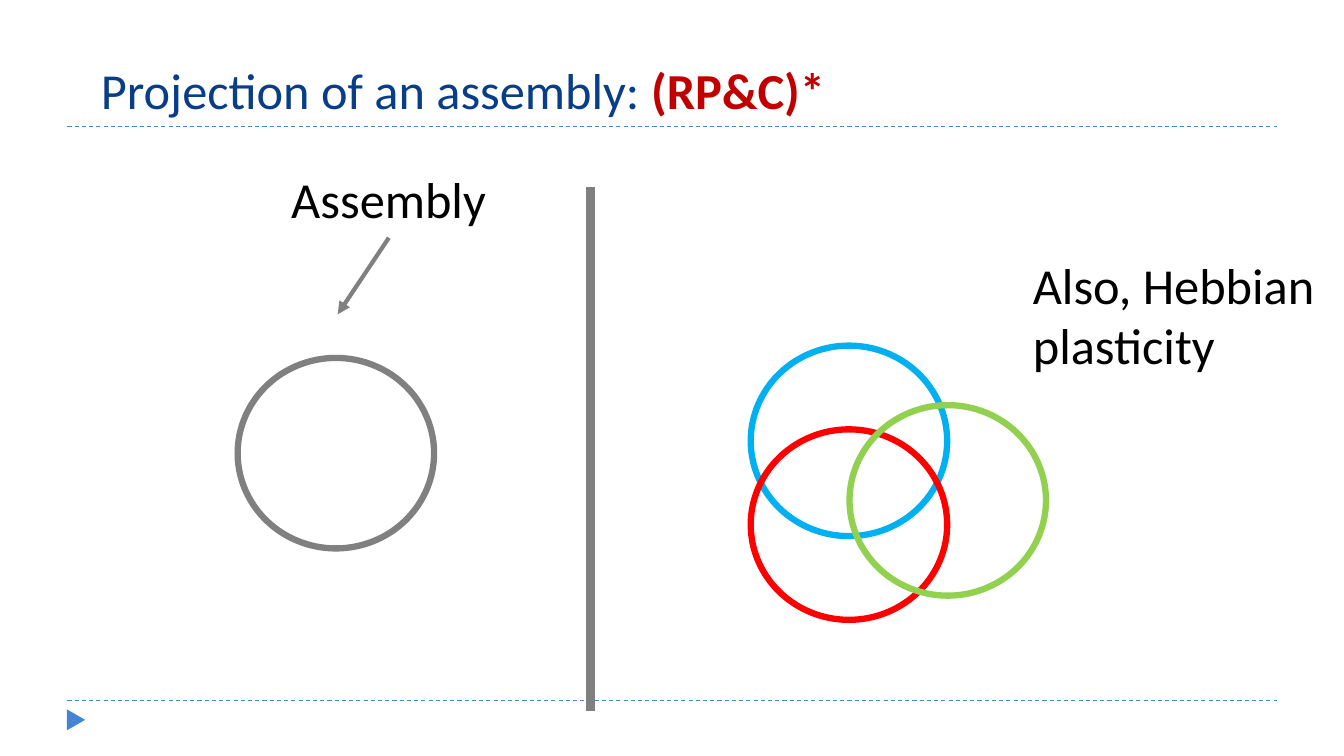
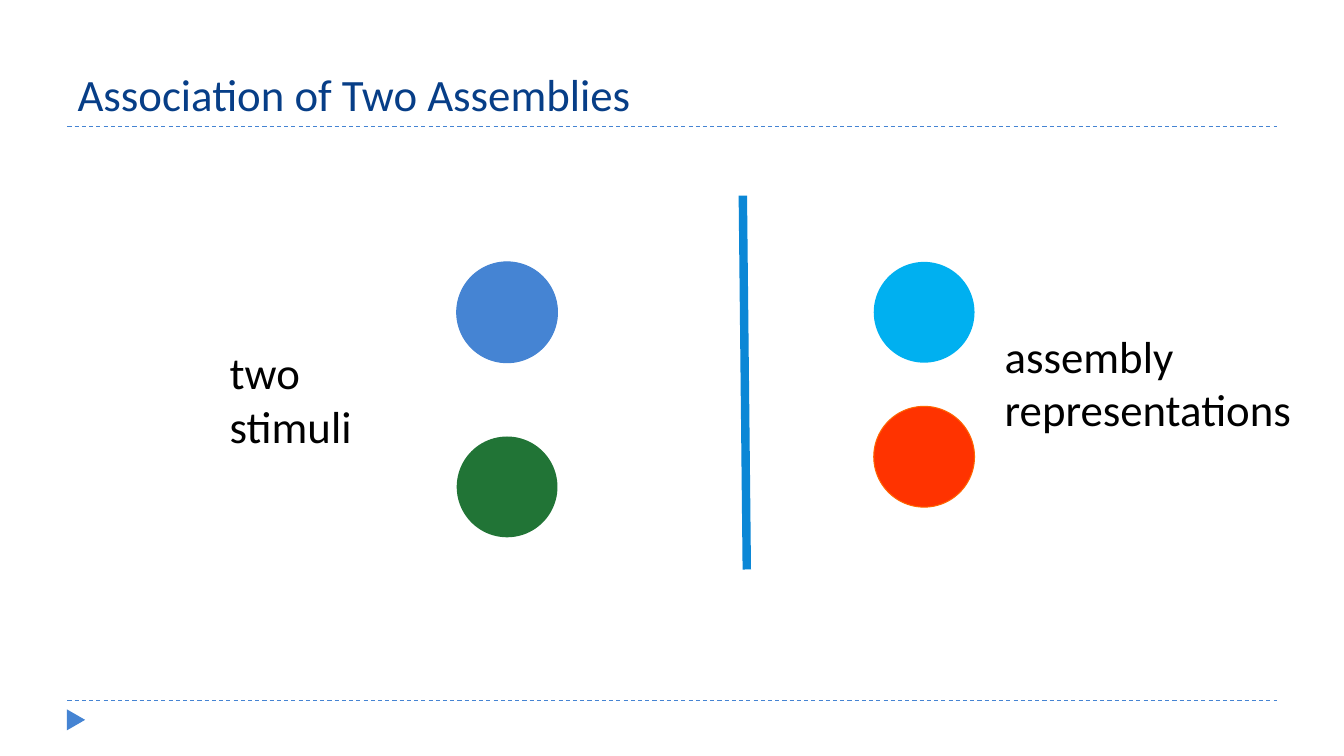
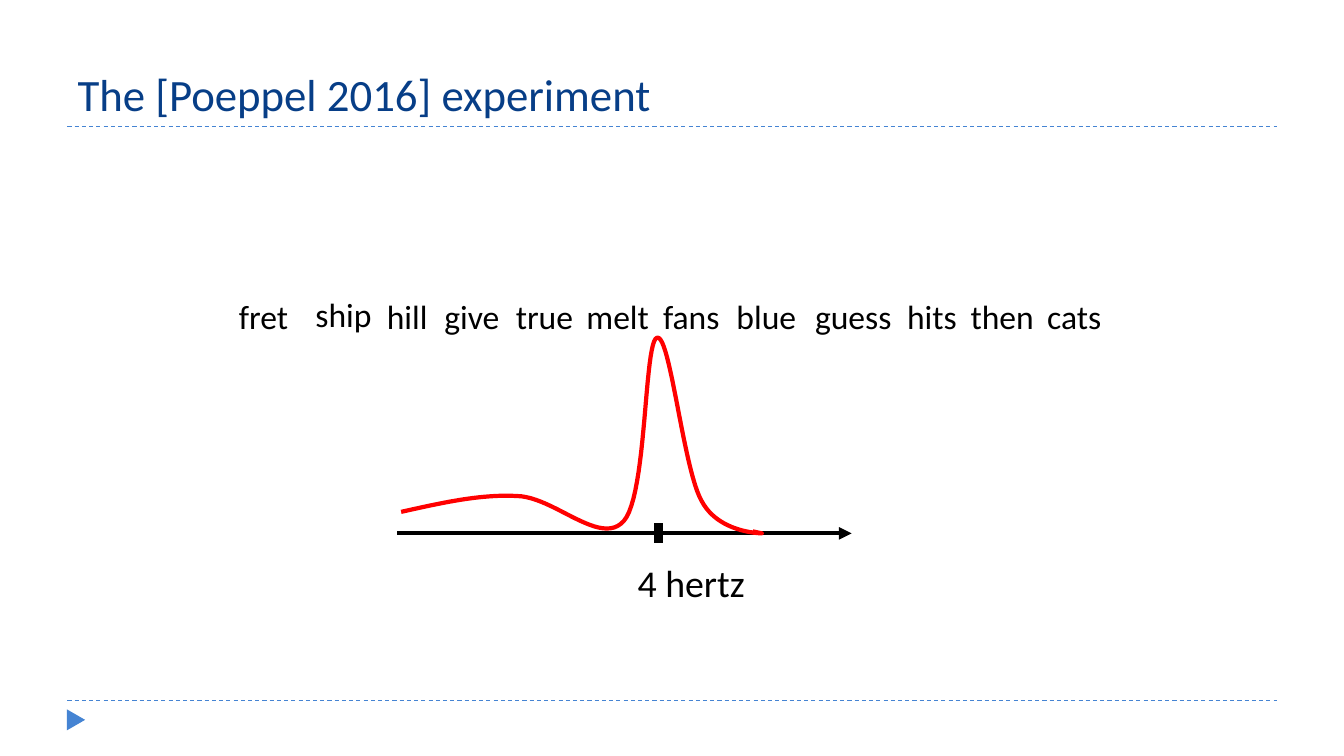
from lxml import etree
from pptx import Presentation
from pptx.dml.color import RGBColor
from pptx.enum.dml import MSO_LINE
from pptx.enum.shapes import MSO_CONNECTOR, MSO_SHAPE
from pptx.enum.text import MSO_ANCHOR, MSO_AUTO_SIZE, PP_ALIGN
from pptx.oxml.ns import qn
from pptx.util import Cm, Pt

ELLIPSE = MSO_SHAPE.OVAL
TRIANGLE = MSO_SHAPE.ISOSCELES_TRIANGLE
STRAIGHT = MSO_CONNECTOR.STRAIGHT
DASH = MSO_LINE.DASH
LEFT = PP_ALIGN.LEFT
BOTTOM = MSO_ANCHOR.BOTTOM
NO_FIT = MSO_AUTO_SIZE.NONE
GROW = MSO_AUTO_SIZE.SHAPE_TO_FIT_TEXT

FONT = "Calibri"
COLORS = {
    "title": "073E87", "accent": "C00000", "text": "000000",
    "frame": "4584D3", "gray": "808080", "sky": "00B0F0",
    "red": "FF0000", "lime": "92D050", "forest": "217436",
    "vermilion": "FF3300", "orange": "FF6600", "divider": "0B87D6",
}
TITLE_BOX = (1.7, 0.43, 30.48, 2.74)


def rgb(name):
    return RGBColor.from_string(COLORS[name])


# Basic parts
def write(paragraph, text, size=32, color="text", bold=False):
    run = paragraph.add_run()
    run.text = text
    run.font.name = FONT
    run.font.size = Pt(size)
    run.font.bold = bold
    run.font.color.rgb = rgb(color)


def add_label(slide, box, lines, **style):
    frame = slide.shapes.add_textbox(*map(Cm, box)).text_frame
    frame.word_wrap = False
    frame.auto_size = GROW
    for number, line in enumerate(lines):
        paragraph = frame.add_paragraph() if number else frame.paragraphs[0]
        write(paragraph, line, **style)


def paint(shape, fill=None, line=None, width=0.75):
    shape.shadow.inherit = False
    if fill:
        shape.fill.solid()
        shape.fill.fore_color.rgb = rgb(fill)
    else:
        shape.fill.background()
    if line:
        shape.line.color.rgb = rgb(line)
        shape.line.width = Pt(width)
    else:
        shape.line.fill.background()


def add_figure(slide, kind, box, **look):
    figure = slide.shapes.add_shape(kind, *map(Cm, box))
    paint(figure, **look)
    return figure


def add_line(slide, start, end, color, width, dash=None, arrow=False):
    line = slide.shapes.add_connector(STRAIGHT, *map(Cm, start + end))
    line.line.color.rgb = rgb(color)
    line.line.width = Pt(width)
    if dash:
        line.line.dash_style = dash
    properties = line.element.spPr
    if arrow:
        etree.SubElement(properties.find(qn("a:ln")), qn("a:tailEnd"), type="triangle")
    etree.SubElement(properties, qn("a:effectLst"))
    return line


# Shared frame and title
def share_frame(slide):
    """Draw the rules and the marker, then hand them to the layout."""
    parts = [add_line(slide, (1.7, y), (32.18, y), "frame", 0.75, dash=DASH)
             for y in (17.65, 3.18)]
    marker = add_figure(slide, TRIANGLE, (1.65, 17.91, 0.53, 0.46), fill="frame")
    marker.rotation = 90
    parts.append(marker)
    for number, part in enumerate(parts, 101):
        part.element.xpath(".//p:cNvPr")[0].set("id", str(number))
        slide.slide_layout.shapes.element.append(part.element)


def add_slide(deck, title, accent="", box=TITLE_BOX, size=32):
    slide = deck.slides.add_slide(deck.slide_layouts[5])
    heading = slide.shapes.title
    heading.left, heading.top, heading.width, heading.height = map(Cm, box)
    frame = heading.text_frame
    frame.vertical_anchor = BOTTOM
    frame.auto_size = NO_FIT
    frame.word_wrap = True
    paragraph = frame.paragraphs[0]
    paragraph.alignment = LEFT
    write(paragraph, title, size=size, color="title")
    if accent:
        write(paragraph, accent, size=size, color="accent", bold=True)
    return slide


# Slide 1: projection
def add_rings(slide, left, top, rings):
    for dx, dy, color in rings:
        add_figure(slide, ELLIPSE, (left + dx, top + dy, 4.95, 4.8),
                   line=color, width=4.5)


def build_projection(slide):
    add_line(slide, (14.88, 4.7), (14.88, 17.91), "gray", 6)
    add_rings(slide, 5.99, 9.02, [(0, 0, "gray")])
    add_rings(slide, 18.92, 8.71,
              [(0, 0, "sky"), (0, 2.11, "red"), (2.49, 1.5, "lime")])
    add_label(slide, (25.78, 6.27, 7.67, 3.33), ["Also, Hebbian", "plasticity"], size=36)
    add_label(slide, (7.09, 4.11, 5.46, 1.8), ["Assembly"], size=36)
    add_line(slide, (9.8, 5.99), (8.51, 7.92), "gray", 3, arrow=True)


# Slide 2: association
def add_disc_pair(slide, left, top, pitch, looks):
    for row, (fill, line) in enumerate(looks):
        add_figure(slide, ELLIPSE, (left, top + row * pitch, 2.54, 2.54),
                   fill=fill, line=line)


def build_association(slide):
    add_disc_pair(slide, 11.51, 6.6, 4.4, [("frame", "frame"), ("forest", None)])
    add_disc_pair(slide, 22.02, 6.6, 3.64, [("sky", None), ("vermilion", "orange")])
    add_line(slide, (18.72, 4.93), (18.82, 14.35), "divider", 6)
    add_label(slide, (5.54, 8.56, 3.63, 3), ["two", "stimuli"])
    add_label(slide, (25.07, 8.15, 7.8, 3), ["assembly", "representations"])


# Slide 3: experiment
WORDS = [  # word, left, width, drop below the row top
    ("fret", 5.77, 1.83, 0.03), ("ship", 7.7, 1.93, 0), ("hill", 9.5, 1.6, 0.03),
    ("give", 10.95, 1.98, 0.03), ("true", 12.75, 2.03, 0.03),
    ("melt", 14.53, 2.16, 0.03), ("fans", 16.46, 1.96, 0.05),
    ("blue", 18.31, 2.08, 0.05), ("guess", 20.29, 2.49, 0.05),
    ("hits", 22.61, 1.85, 0.05), ("then", 24.21, 2.16, 0.05),
    ("cats", 26.14, 1.93, 0.05),
]
RESPONSE_START = (0, 4.39)
RESPONSE_CURVES = [  # two control points and an end point each
    ((0.99, 4.17), (1.98, 3.94), (2.92, 3.99)),
    ((3.86, 4.01), (5.03, 5.28), (5.61, 4.62)),
    ((6.2, 3.96), (6.12, 0.08), (6.45, 0)),
    ((6.78, -0.1), (7.11, 3.3), (7.57, 4.11)),
    ((8, 4.93), (9.09, 4.93), (9.09, 4.93)),
]
RESPONSE_END = (8.86, 4.88)
STEPS = 24


def bezier(knots, t):
    weights = ((1 - t) ** 3, 3 * t * (1 - t) ** 2, 3 * t ** 2 * (1 - t), t ** 3)
    return tuple(sum(w * knot[axis] for w, knot in zip(weights, knots))
                 for axis in (0, 1))


def add_response(slide, left, top):
    points = [RESPONSE_START]
    for curve in RESPONSE_CURVES:
        knots = (points[-1], *curve)
        points += [bezier(knots, step / STEPS) for step in range(1, STEPS + 1)]
    points.append(RESPONSE_END)
    places = [(Cm(left + x), Cm(top + y)) for x, y in points]
    outline = slide.shapes.build_freeform(*places[0])
    outline.add_line_segments(places[1:], close=False)
    paint(outline.convert_to_shape(), line="red", width=3)


def add_spectrum(slide, left, top):
    axis = top + 4.93
    peak = left + 6.48
    add_line(slide, (left - 0.1, axis), (left + 11.35, axis), "text", 3, arrow=True)
    add_response(slide, left, top)
    add_label(slide, (peak - 0.77, axis + 0.53, 3.23, 1.42), ["4 hertz"], size=27)
    add_line(slide, (peak, axis - 0.25), (peak, axis + 0.24), "text", 6)


def build_experiment(slide):
    for word, left, width, drop in WORDS:
        add_label(slide, (left, 7.29 + drop, width, 1.27), [word], size=24)
    add_spectrum(slide, 10.11, 8.51)


def main():
    deck = Presentation()
    deck.slide_width, deck.slide_height = Cm(33.87), Cm(19.05)
    projection = add_slide(deck, "Projection of an assembly: ", accent="(RP&C)*",
                           box=(2.29, 0.61, 29.21, 2.54), size=36)
    share_frame(projection)
    build_projection(projection)
    build_association(add_slide(deck, "Association of Two Assemblies"))
    build_experiment(add_slide(deck, "The [Poeppel 2016] experiment"))
    deck.save("out.pptx")


if __name__ == "__main__":
    main()
